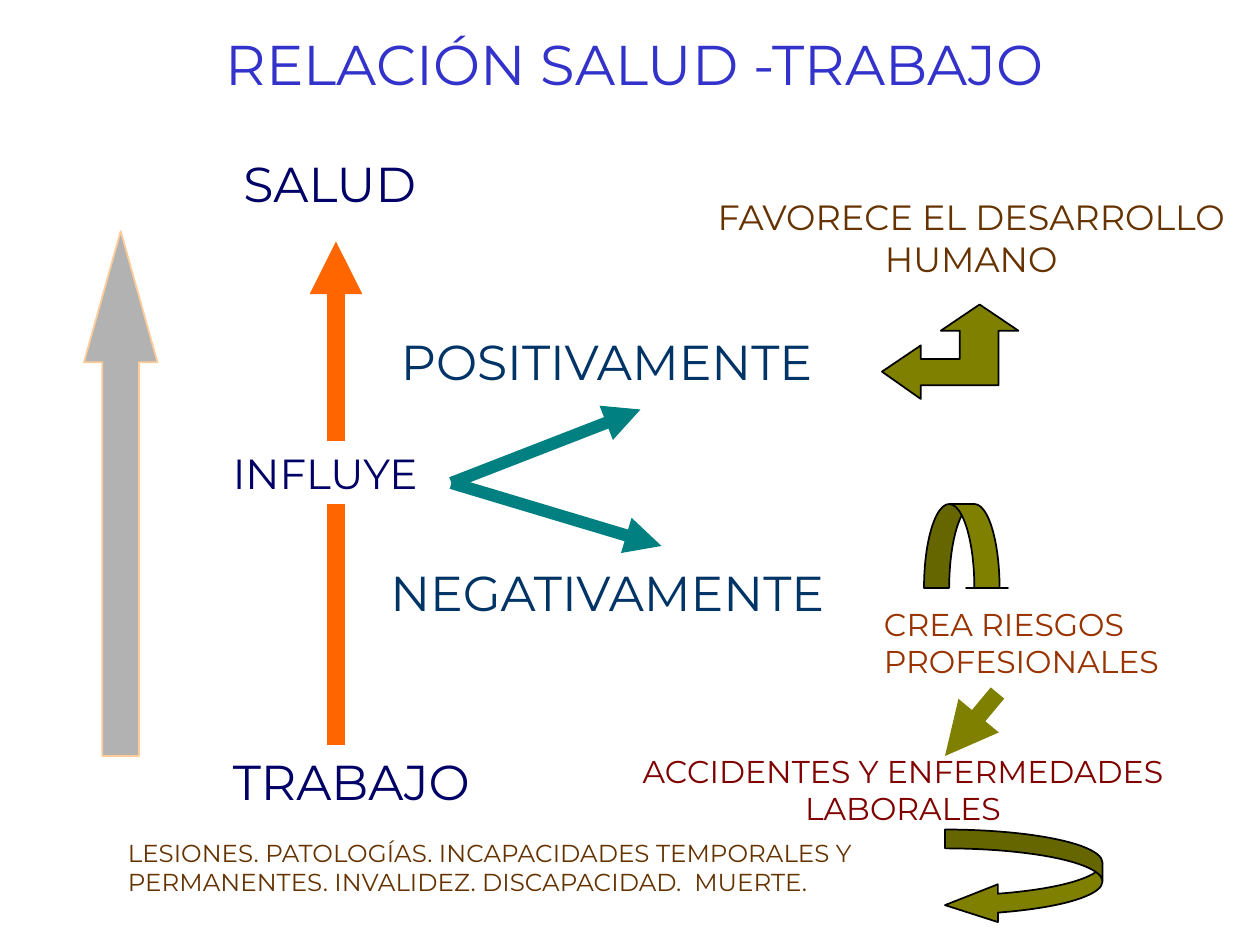
from lxml import etree
from pptx import Presentation
from pptx.dml.color import RGBColor
from pptx.enum.shapes import MSO_CONNECTOR, MSO_SHAPE
from pptx.enum.text import MSO_ANCHOR, PP_ALIGN
from pptx.oxml.ns import qn
from pptx.util import Inches, Pt

STRAIGHT = MSO_CONNECTOR.STRAIGHT
UP_ARROW = MSO_SHAPE.UP_ARROW
CURVED_DOWN = MSO_SHAPE.CURVED_DOWN_ARROW
CURVED_LEFT = MSO_SHAPE.CURVED_LEFT_ARROW
LEFT, CENTER = PP_ALIGN.LEFT, PP_ALIGN.CENTER
TOP, MIDDLE = MSO_ANCHOR.TOP, MSO_ANCHOR.MIDDLE

FONT = "Montserrat"
COLUMNS, ROWS = 120, 90  # square grid, twelve cells to the inch
NAVY, BLUE, BROWN = "000066", "003366", "663300"
OLIVE, TEAL, ORANGE, BLACK = "808000", "008080", "FF6600", "000000"


def color(hex_string):
    return RGBColor.from_string(hex_string)


def cells(*counts):
    return [Inches(count / 12) for count in counts]


class Board:
    """Holds the style and the slide; all lengths are grid cells."""

    def __init__(self, slide):
        self.slide = slide
        self.shapes = slide.shapes

    def fill_text(self, frame, text, size, ink, align, anchor):
        frame.word_wrap = True
        frame.vertical_anchor = anchor
        paragraph = frame.paragraphs[0]
        paragraph.alignment = align
        run = paragraph.add_run()
        run.text = text
        run.font.name = FONT
        run.font.size = Pt(size)
        run.font.color.rgb = color(ink)

    def title(self, box, text, size, ink):
        holder = self.shapes.title
        holder.left, holder.top, holder.width, holder.height = cells(*box)
        self.fill_text(holder.text_frame, text, size, ink, CENTER, MIDDLE)

    def label(self, box, text, size, ink, align=LEFT):
        holder = self.shapes.add_textbox(*cells(*box))
        self.fill_text(holder.text_frame, text, size, ink, align, TOP)

    def paint(self, shape, fill, outline):
        shape.shadow.inherit = False
        shape.fill.solid()
        shape.fill.fore_color.rgb = color(fill)
        shape.line.color.rgb = color(outline)
        shape.line.width = Pt(1)

    def block_arrow(self, kind, box, adjustments, fill=OLIVE, outline=BLACK):
        shape = self.shapes.add_shape(kind, *cells(*box))
        for index, value in enumerate(adjustments):
            shape.adjustments[index] = value
        self.paint(shape, fill, outline)

    def outline_arrow(self, points, fill=OLIVE, outline=BLACK):
        corners = [tuple(cells(*point)) for point in points]
        builder = self.shapes.build_freeform(*corners[0])
        builder.add_line_segments(corners[1:], close=True)
        self.paint(builder.convert_to_shape(), fill, outline)

    def line(self, start, end, ink, width, head=True):
        connector = self.shapes.add_connector(STRAIGHT, *cells(*start, *end))
        connector.line.color.rgb = color(ink)
        connector.line.width = Pt(width)
        properties = connector._element.spPr
        if head:
            stroke = properties.find(qn("a:ln"))
            etree.SubElement(stroke, qn("a:tailEnd"), type="triangle")
        etree.SubElement(properties, qn("a:effectLst"))


def main():
    deck = Presentation()
    deck.slide_width, deck.slide_height = cells(COLUMNS, ROWS)
    board = Board(deck.slides.add_slide(deck.slide_layouts[5]))

    board.title((11, 2, 99, 8), "RELACIÓN SALUD -TRABAJO", 32, "3333CC")

    # Work and health, with the influence between them
    board.label((22, 14, 23, 6.8), "SALUD", 28, NAVY)
    board.label((21, 71, 29, 6.8), "TRABAJO", 28, NAVY)
    board.label((21, 42, 24, 6), "INFLUYE", 24, NAVY)
    board.line((32, 71), (32, 48), ORANGE, 10, head=False)
    board.line((32, 42), (32, 23), ORANGE, 10)
    board.block_arrow(UP_ARROW, (8, 22, 7, 50), (0.5, 1.785), "B2B2B2", "FFCC99")

    # Positive and negative branches
    board.label((37, 31, 46, 6.8), "POSITIVAMENTE", 28, BLUE)
    board.label((36, 53, 50, 6.8), "NEGATIVAMENTE", 28, BLUE)
    for branch_end in ((61, 39), (63, 52)):
        board.line((43, 46), branch_end, TEAL, 7)

    # Positive outcome
    board.label((67, 18, 51, 9.2), "FAVORECE EL DESARROLLO HUMANO", 20, BROWN, CENTER)
    board.outline_arrow([
        (84, 35.4), (87.7, 32.9), (87.7, 34.2), (91.4, 34.2),
        (91.4, 31.5), (89.6, 31.5), (93.3, 29), (97, 31.5),
        (95.1, 31.5), (95.1, 36.7), (87.7, 36.7), (87.7, 38)])

    # Negative outcomes
    board.block_arrow(CURVED_DOWN, (88, 48, 8, 8), (0.3, 0.5, 0))
    board.label((83, 57, 33, 8.4), "CREA RIESGOS PROFESIONALES", 18, "993300")
    board.line((95, 66), (90, 72), OLIVE, 10)
    board.label((53, 71, 66, 8.4), "ACCIDENTES Y ENFERMEDADES LABORALES",
                18, "800000", CENTER)
    board.block_arrow(CURVED_LEFT, (90, 79, 15, 9), (0.2, 0.4, 0.56))
    board.label((11, 79.2, 85, 6.8),
                "LESIONES. PATOLOGÍAS. INCAPACIDADES TEMPORALES Y PERMANENTES. "
                "INVALIDEZ. DISCAPACIDAD.  MUERTE.", 14, BROWN)

    deck.save("out.pptx")


if __name__ == "__main__":
    main()
